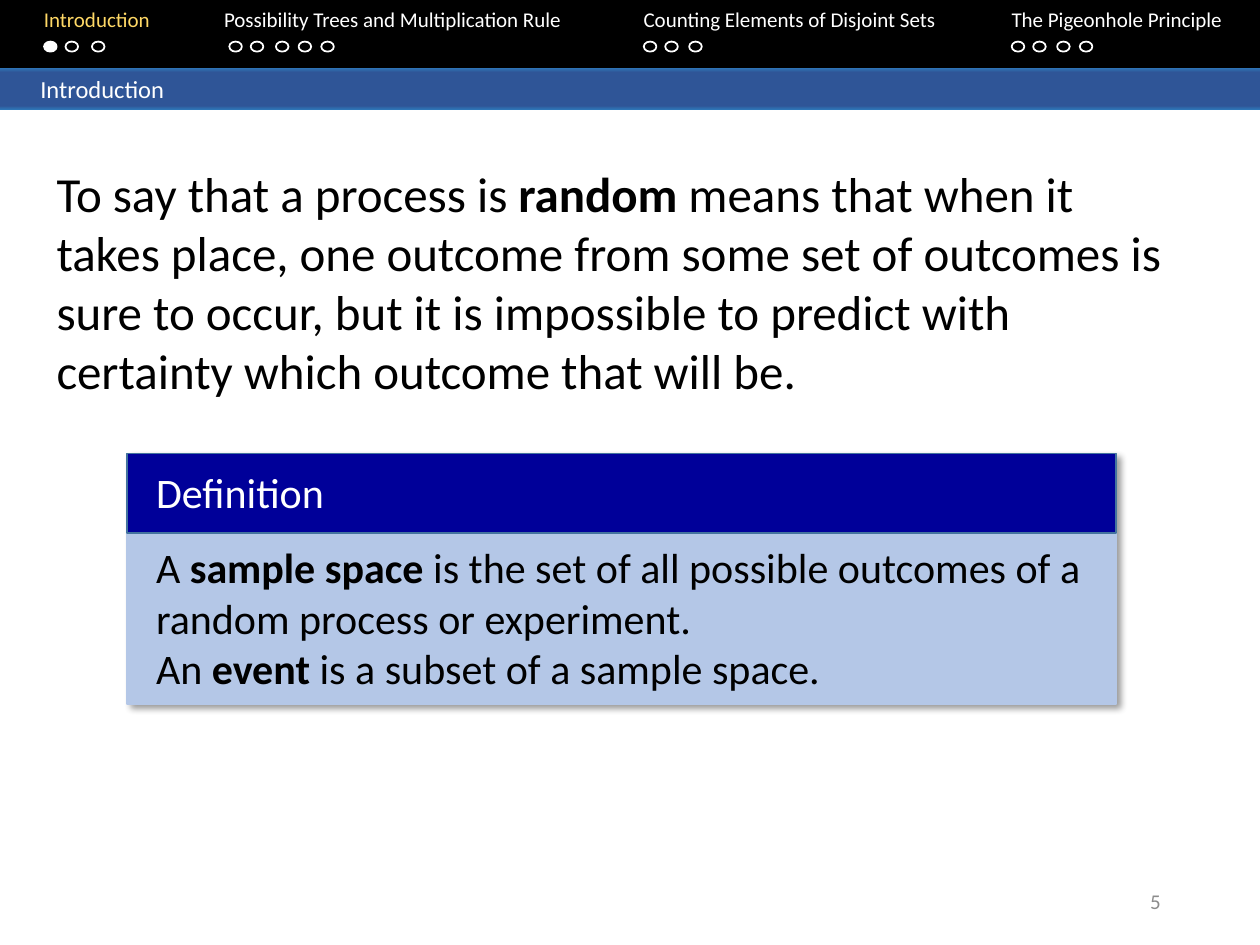
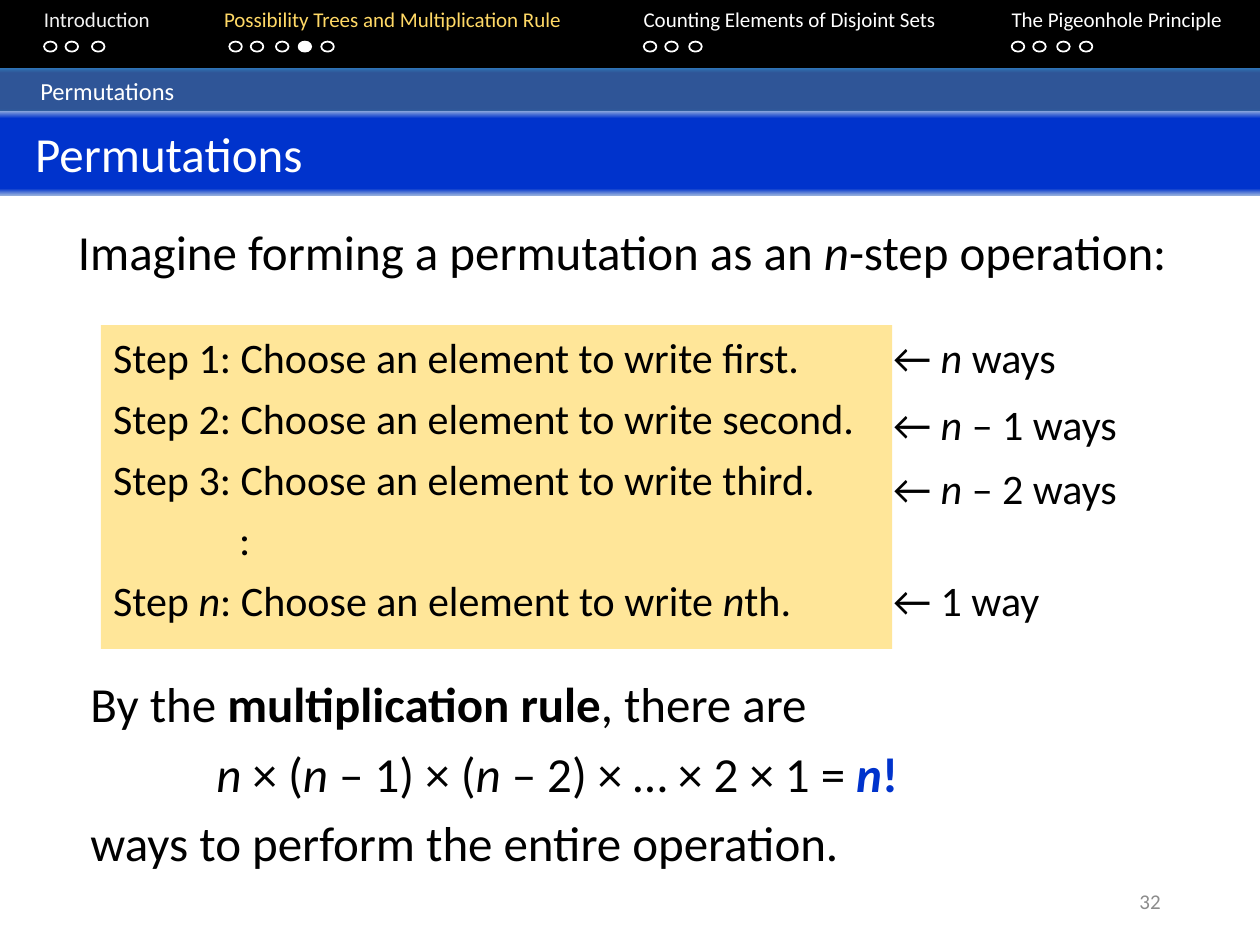
from dataclasses import dataclass
from lxml.etree import SubElement
from pptx import Presentation
from pptx.dml.color import RGBColor
from pptx.enum.shapes import MSO_SHAPE
from pptx.enum.text import MSO_ANCHOR, PP_ALIGN
from pptx.oxml.ns import qn
from pptx.util import Inches, Pt


@dataclass(frozen=True)
class Theme:
    font: str = "Calibri"
    # Colours
    black: str = "000000"
    white: str = "FFFFFF"
    past: str = "F2F2F2"
    current: str = "FFD966"
    page_grey: str = "8C8C8C"
    section_edge: str = "2E75B6"
    section_fill: str = "2F5597"
    title_edge: str = "8FAADC"
    accent: str = "0033CC"
    definition_head: str = "000099"
    definition_line: str = "43739E"
    definition_body: str = "B4C7E7"
    steps_fill: str = "FFE699"
    # Type sizes
    small: int = 12
    section: int = 14
    medium: int = 24
    large: int = 28


@dataclass(frozen=True)
class Run:
    text: str
    bold: bool = False
    italic: bool = False
    color: str = ""


@dataclass(frozen=True)
class Section:
    name: str
    left: float
    dots: tuple


SECTIONS = (
    Section("Introduction", 0.35, (0.35, 0.52, 0.73)),
    Section("Possibility Trees and Multiplication Rule", 1.78,
            (1.82, 1.99, 2.19, 2.37, 2.55)),
    Section("Counting Elements of Disjoint Sets", 5.11, (5.11, 5.28, 5.47)),
    Section("The Pigeonhole Principle", 8.03, (8.03, 8.2, 8.39, 8.57)),
)
INSET = 0.1
N = Run("n", italic=True)


class Deck:
    def __init__(self, theme):
        self.theme = theme
        self.prs = Presentation()
        self.prs.slide_width, self.prs.slide_height = Inches(10), Inches(7.5)
        self.shapes = None

    # Slide frame: navigation, section band, page number
    def new_slide(self, section, dot, heading, band_height, page):
        t = self.theme
        self.slide = self.prs.slides.add_slide(self.prs.slide_layouts[6])
        self.shapes = self.slide.shapes
        self.navigation(section, dot)
        self.band(0.54, band_height, heading, t.section, 0.32,
                  ((0, t.section_edge), (11, t.section_fill),
                   (91, t.section_fill), (100, t.section_edge)))
        self.text(7.06, 6.95, 2.25, 0.4, [[Run(str(page))]], t.small,
                  t.page_grey, align=PP_ALIGN.RIGHT, anchor=MSO_ANCHOR.MIDDLE)

    def navigation(self, active, active_dot):
        t = self.theme
        self.box(0, -0.02, 10, 0.56, t.black)
        names = []
        for i, section in enumerate(SECTIONS):
            color = t.current if i == active else t.past if i < active else t.white
            names += [Run("\t"), Run(section.name, color=color)]
            for j, left in enumerate(section.dots):
                filled = (i, j) == (active, active_dot)
                self.box(left, 0.33, 0.1, 0.08, t.white if filled else None,
                         t.white, MSO_SHAPE.OVAL)
        frame = self.text(0, 0, 10, 0.5, [names], t.small, t.white)
        tabs = SubElement(frame.paragraphs[0]._p.get_or_add_pPr(), qn("a:tabLst"))
        for section in SECTIONS:
            stop = Inches(section.left - INSET)
            SubElement(tabs, qn("a:tab"), pos=str(stop), algn="l")

    def band(self, top, height, heading, size, indent, stops):
        band = self.box(0, top, 10, height, self.theme.white)
        band.fill.gradient()
        band.fill.gradient_angle = 270
        stop_list = band._element.spPr.find(qn("a:gradFill")).find(qn("a:gsLst"))
        for old in list(stop_list):
            stop_list.remove(old)
        for position, color in stops:
            stop = SubElement(stop_list, qn("a:gs"), pos=str(position * 1000))
            SubElement(stop, qn("a:srgbClr"), val=color)
        self.fill_text(band.text_frame, [[Run(heading)]], size, self.theme.white,
                       anchor=MSO_ANCHOR.MIDDLE)
        band.text_frame.margin_left = Inches(indent)

    # Basic elements
    def box(self, left, top, width, height, fill, line=None,
            kind=MSO_SHAPE.RECTANGLE):
        shape = self.shapes.add_shape(kind, Inches(left), Inches(top),
                                      Inches(width), Inches(height))
        shape.shadow.inherit = False
        if fill:
            shape.fill.solid()
            shape.fill.fore_color.rgb = RGBColor.from_string(fill)
        else:
            shape.fill.background()
        if line:
            shape.line.color.rgb = RGBColor.from_string(line)
            shape.line.width = Pt(1)
        else:
            shape.line.fill.background()
        return shape

    def text(self, left, top, width, height, paragraphs, size, color=None, **style):
        box = self.shapes.add_textbox(Inches(left), Inches(top),
                                      Inches(width), Inches(height))
        self.fill_text(box.text_frame, paragraphs, size, color, **style)
        return box.text_frame

    def fill_text(self, frame, paragraphs, size, color=None, before=0,
                  align=PP_ALIGN.LEFT, anchor=MSO_ANCHOR.TOP, indented=None):
        """Fill a frame; the paragraph numbered `indented` starts one inch in."""
        frame.word_wrap = True
        frame.vertical_anchor = anchor
        for i, runs in enumerate(paragraphs):
            paragraph = frame.add_paragraph() if i else frame.paragraphs[0]
            paragraph.alignment = align
            paragraph.space_before = Pt(before)
            if i == indented:
                paragraph._p.get_or_add_pPr().set("marL", str(Inches(1)))
            for part in runs:
                run = paragraph.add_run()
                run.text = part.text
                font = run.font
                font.name, font.size = self.theme.font, Pt(size)
                font.bold, font.italic = part.bold, part.italic
                font.color.rgb = RGBColor.from_string(
                    part.color or color or self.theme.black)

    def drop_shadow(self, shape):
        effects = shape._element.spPr.find(qn("a:effectLst"))
        shadow = SubElement(effects, qn("a:outerShdw"), blurRad=str(Pt(4)),
                            dist=str(Pt(3)), dir=str(45 * 60000),
                            algn="tl", rotWithShape="0")
        color = SubElement(shadow, qn("a:srgbClr"), val=self.theme.black)
        SubElement(color, qn("a:alpha"), val="40000")

    def definition(self, left, top, width, height, paragraphs):
        t = self.theme
        self.shapes = self.slide.shapes.add_group_shape().shapes
        self.drop_shadow(self.box(left, top, width, height,
                                  t.definition_body, t.definition_body))
        self.box(left, top, width, 0.63, t.definition_head, t.definition_line)
        self.text(left + 0.13, top + 0.05, 4.63, 0.5, [[Run("Definition")]],
                  t.medium, t.white)
        self.text(left + 0.13, top + 0.65, width - 0.28, 1.31, paragraphs, t.medium)
        self.shapes = self.slide.shapes


def introduction(deck):
    deck.new_slide(0, 0, "Introduction", 0.33, 5)
    deck.text(0.35, 1.25, 9.15, 1.99, [[
        Run("To say that a process is "), Run("random", bold=True),
        Run(" means that when it takes place, one outcome from some set of "
            "outcomes is sure to occur, but it is impossible to predict with "
            "certainty which outcome that will be."),
    ]], deck.theme.large)
    deck.definition(1.01, 3.6, 7.85, 1.99, [
        [Run("A "), Run("sample space", bold=True),
         Run(" is the set of all possible outcomes of a random process or experiment.")],
        [Run("An "), Run("event ", bold=True), Run("is a subset of a sample space.")],
    ])


def permutations(deck):
    t = deck.theme
    deck.new_slide(1, 3, "Permutations", 0.36, 32)
    deck.band(0.88, 0.67, "Permutations", t.large, 0.28,
              ((0, t.title_edge), (9, t.accent), (92, t.accent), (100, t.title_edge)))
    deck.text(0.52, 1.71, 9, 0.81, [[
        Run("Imagine forming a permutation as an "), N, Run("-step operation:"),
    ]], t.large, before=6)

    # Steps, with the number of ways beside each
    steps = [[Run(f"Step {i}: Choose an element to write {place}.")]
             for i, place in enumerate(("first", "second", "third"), 1)]
    steps += [[Run(":")],
              [Run("Step "), N, Run(": Choose an element to write "), N, Run("th.")]]
    steps_box = deck.box(0.8, 2.58, 6.28, 2.57, t.steps_fill)
    deck.fill_text(steps_box.text_frame, steps, t.medium, before=6, indented=3)
    ways = ((2.58, [Run("← "), N, Run(" ways")]),
            (3.11, [Run("← "), N, Run(" – 1 ways")]),
            (3.62, [Run("← "), N, Run(" – 2 ways")]),
            (4.51, [Run("← 1 way")]))
    for top, runs in ways:
        deck.text(6.99, top, 2.15, 0.5, [runs], t.medium)

    # Conclusion
    deck.text(0.62, 5.3, 9, 1.64, [
        [Run("By the "), Run("multiplication rule", bold=True), Run(", there are")],
        [Run("n ", italic=True), Run("× ("), N, Run(" – 1) × ("), N,
         Run(" – 2) × … × 2 × 1 = "),
         Run("n", bold=True, italic=True, color=t.accent),
         Run("!", bold=True, color=t.accent)],
        [Run("ways to perform the entire operation.")],
    ], t.large, before=6, indented=1)


def main():
    deck = Deck(Theme())
    introduction(deck)
    permutations(deck)
    deck.prs.save("out.pptx")


if __name__ == "__main__":
    main()
